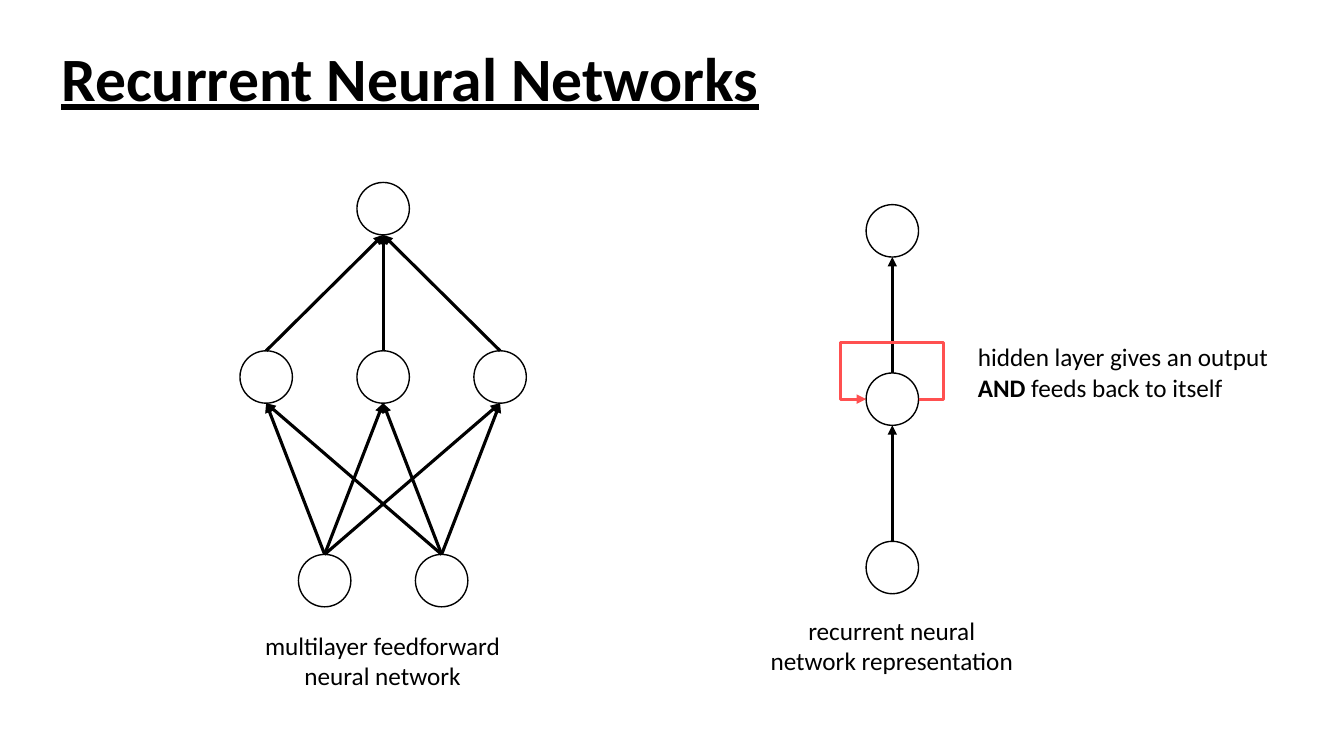
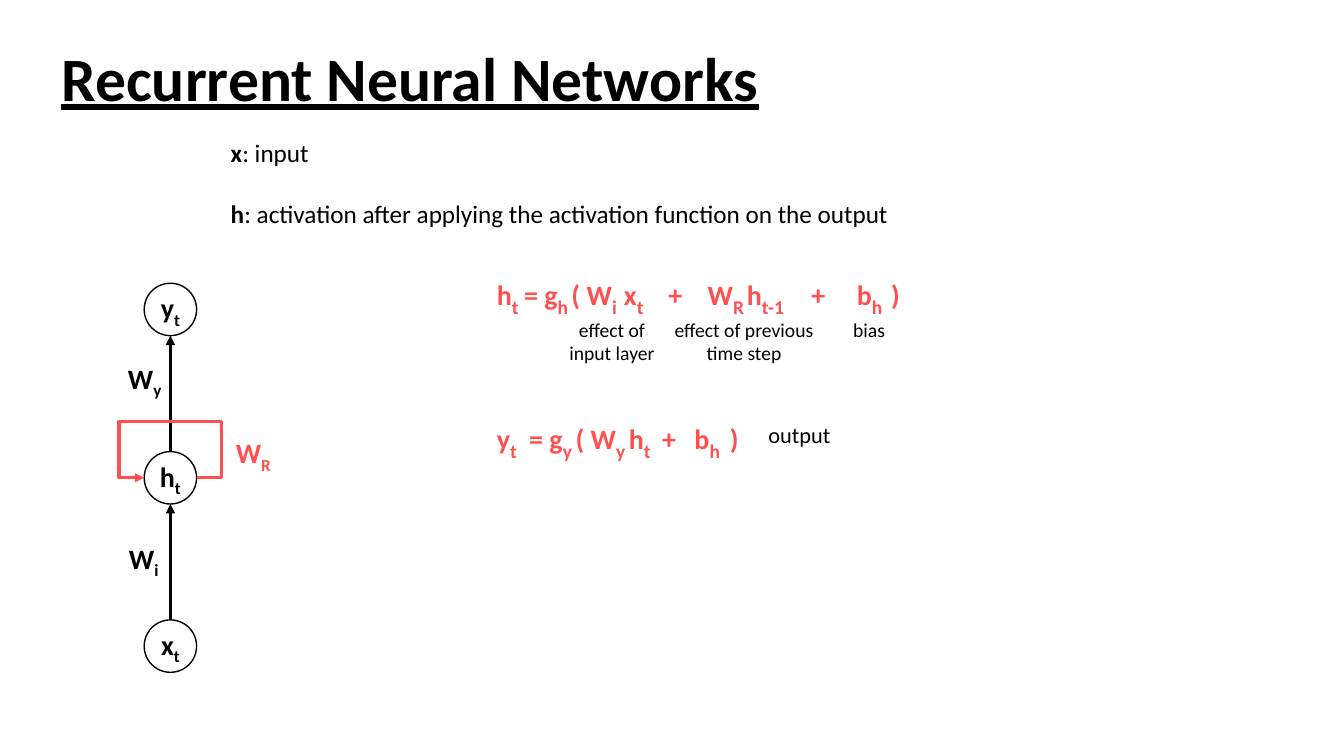
"""Build two slides that introduce recurrent neural networks."""
from lxml.etree import SubElement
from pptx import Presentation
from pptx.dml.color import RGBColor
from pptx.enum.shapes import MSO_CONNECTOR, MSO_SHAPE
from pptx.enum.text import MSO_ANCHOR, MSO_AUTO_SIZE, PP_ALIGN
from pptx.oxml.ns import qn
from pptx.util import Inches, Pt

BLACK = RGBColor(0x00, 0x00, 0x00)
WHITE = RGBColor(0xFF, 0xFF, 0xFF)
RED = RGBColor(0xFF, 0x50, 0x50)
FONT = "Calibri"

TITLE = "Recurrent Neural Networks"
DIAMETER = 0.52
NODE_GAP = 1.16
LAYER_STEP = 1.67
LOOP_REACH = 0.25
LOOP_RISE = 0.56
EQUATION_LEFT = 4.83
INSET = 0.1

FEEDFORWARD = [(1.81, [()]), (3.48, [(), (), ()]), (5.5, [(), ()])]
CAPTIONS = [
    ((2.48, 6.2, 2.63, 0.71), ["multilayer feedforward", "neural network"], PP_ALIGN.CENTER),
    ((7.53, 6.05, 2.63, 0.71), ["recurrent neural", "network representation"], PP_ALIGN.CENTER),
    ((9.6, 3.34, 3.2, 0.71),
     ["hidden layer gives an output", [("AND", "bold"), (" feeds back to itself", "")]],
     PP_ALIGN.LEFT),
]

DEFINITIONS = [
    [("x", "bold"), (": input", "")],
    [("h", "bold"), (": activation after applying the activation function on the output", "")],
]
STATES = [("y", "t"), ("h", "t"), ("x", "t")]
WEIGHTS = [
    ((1.17, 3.52), ("W", "y"), BLACK),
    ((1.18, 5.31), ("W", "i"), BLACK),
    ((2.24, 4.26), ("W", "R"), RED),
]
EQUATIONS = [
    (2.65, [(4.93, "h", "t"), (5.2, "= g", "h"), (5.67, "( W", "i"), (6.19, "x", "t"),
            (6.63, "+", ""), (7.02, "W", "R"), (7.41, "h", "t-1"), (8.05, "+", ""),
            (8.5, "b", "h"), (8.84, ")", "")]),
    (4.08, [(4.93, "y", "t"), (5.25, "= g", "y"), (5.71, "( W", "y"), (6.24, "h", "t"),
            (6.57, "+", ""), (6.89, "b", "h"), (7.24, ")", "")]),
]
TERM_NOTES = [
    ((5.52, 3.1, 1.1, 0.57), ["effect of", "input layer"], 14),
    ((6.48, 3.1, 1.8, 0.57), ["effect of previous", "time step"], 14),
    ((8.27, 3.1, 0.7, 0.34), ["bias"], 14),
    ((7.43, 4.13, 1.0, 0.37), ["output"], 16),
]


def fill_text(frame, lines, size=18, color=BLACK, bold=False, align=PP_ALIGN.LEFT,
              subscript_size=21, gap=0, tabs=()):
    """Write lines, each a string or a list of (text, style) pairs."""
    for index, line in enumerate(lines):
        para = frame.paragraphs[0] if index == 0 else frame.add_paragraph()
        para.alignment = align
        if index and gap:
            para.space_before = Pt(gap)
        if tabs:
            stops = SubElement(para._p.get_or_add_pPr(), qn("a:tabLst"))
            for position in tabs:
                SubElement(stops, qn("a:tab"), pos=str(Inches(position)), algn="l")
        for text, style in [(line, "")] if isinstance(line, str) else line:
            span = para.add_run()
            span.text = text
            span.font.name = FONT
            span.font.size = Pt(subscript_size if style == "sub" else size)
            span.font.bold = bold or style == "bold"
            span.font.color.rgb = color
            if style == "sub":
                span._r.get_or_add_rPr().set("baseline", "-25000")


def add_text(page, at, lines, **style):
    """Add a wrapping text box."""
    box = page.shapes.add_textbox(*map(Inches, at))
    box.text_frame.word_wrap = True
    fill_text(box.text_frame, lines, **style)


def symbol(base, subscript):
    """Return the spans of a symbol with its subscript."""
    return [(base, ""), (subscript, "sub")] if subscript else [(base, "")]


def style_line(shape, color, width=2.25, arrow=False):
    """Colour a line and give it an arrowhead if asked."""
    shape.line.color.rgb = color
    shape.line.width = Pt(width)
    if arrow:
        SubElement(shape._element.spPr.find(qn("a:ln")), qn("a:tailEnd"), type="triangle")


def add_node(page, center, top, label):
    """Add one neuron with an optional symbol inside."""
    node = page.shapes.add_shape(MSO_SHAPE.OVAL, Inches(center - DIAMETER / 2), Inches(top),
                                 Inches(DIAMETER), Inches(DIAMETER))
    node.shadow.inherit = False
    node.fill.solid()
    node.fill.fore_color.rgb = WHITE
    style_line(node, BLACK, width=1)
    if label:
        frame = node.text_frame
        frame.margin_left = frame.margin_right = frame.margin_top = frame.margin_bottom = 0
        frame.vertical_anchor = MSO_ANCHOR.MIDDLE
        frame.word_wrap = False
        fill_text(frame, [symbol(*label)], size=20, bold=True, align=PP_ALIGN.CENTER)
    return node


def add_arrow(page, source, target):
    """Point an arrow from the top of one node to the bottom of another."""
    end_x, end_y = target.left + target.width // 2, target.top + target.height
    arrow = page.shapes.add_connector(MSO_CONNECTOR.STRAIGHT, source.left, source.top, end_x, end_y)
    arrow.begin_connect(source, 0)
    style_line(arrow, BLACK, arrow=True)
    SubElement(arrow._element.spPr, qn("a:effectLst"))


def add_network(page, center, layers):
    """Draw layers from top to bottom, each fully fed by the one below."""
    rows = []
    for top, labels in layers:
        first = center - NODE_GAP * (len(labels) - 1) / 2
        rows.append([add_node(page, first + NODE_GAP * column, top, label)
                     for column, label in enumerate(labels)])
    for targets, sources in zip(rows, rows[1:]):
        for source in sources:
            for target in targets:
                add_arrow(page, source, target)


def add_recurrent(page, center, top, labels):
    """Draw three stacked nodes with a feedback loop on the middle one."""
    layers = [(top + LAYER_STEP * row, [label]) for row, label in enumerate(labels)]
    add_network(page, center, layers)
    middle = layers[1][0] + DIAMETER / 2
    near, far = DIAMETER / 2, DIAMETER / 2 + LOOP_REACH
    corners = [(far, 0), (far, -LOOP_RISE), (-far, -LOOP_RISE), (-far, 0), (-near, 0)]
    outline = page.shapes.build_freeform(Inches(center + near), Inches(middle))
    outline.add_line_segments([(Inches(center + x), Inches(middle + y)) for x, y in corners],
                              close=False)
    loop = outline.convert_to_shape()
    loop.shadow.inherit = False
    loop.fill.background()
    style_line(loop, RED, arrow=True)


def add_page(deck):
    """Add a slide with the shared title style."""
    page = deck.slides.add_slide(deck.slide_layouts[5])
    frame = page.shapes.title.text_frame
    frame.auto_size = MSO_AUTO_SIZE.NONE
    frame.vertical_anchor = MSO_ANCHOR.MIDDLE
    fill_text(frame, [TITLE], size=44, bold=True)
    para = frame.paragraphs[0]
    para.line_spacing = 0.9
    para.runs[0].font.underline = True
    return page


def add_comparison(deck):
    """Compare a feedforward network with a recurrent one."""
    page = add_page(deck)
    add_network(page, 3.8, FEEDFORWARD)
    add_recurrent(page, 8.85, 2.03, [(), (), ()])
    for at, lines, align in CAPTIONS:
        add_text(page, at, lines, align=align)


def add_formulas(deck):
    """Show the recurrent network with its equations."""
    page = add_page(deck)
    add_recurrent(page, 1.69, 2.81, STATES)
    for (left, top), label, color in WEIGHTS:
        add_text(page, (left, top, 0.7, 0.44), [symbol(*label)], size=20, color=color, bold=True)
    add_text(page, (2.19, 1.31, 6.82, 1.01), DEFINITIONS, gap=22)
    for top, terms in EQUATIONS:
        spans = []
        for index, (_, base, subscript) in enumerate(terms):
            spans += symbol("\t" + base if index else base, subscript)
        tabs = [left - EQUATION_LEFT - INSET for left, _, _ in terms[1:]]
        add_text(page, (EQUATION_LEFT, top, 4.4, 0.44), [spans], size=20, color=RED, bold=True,
                 subscript_size=24, tabs=tabs)
    for at, lines, size in TERM_NOTES:
        add_text(page, at, lines, size=size, align=PP_ALIGN.CENTER)


def main():
    """Build and save the deck."""
    deck = Presentation()
    deck.slide_width, deck.slide_height = Inches(13.33), Inches(7.5)
    title = deck.slide_layouts[5].placeholders[0]
    title.left, title.top, title.width, title.height = map(Inches, (0.51, 0.08, 11.5, 1.45))
    add_comparison(deck)
    add_formulas(deck)
    deck.save("out.pptx")


if __name__ == "__main__":
    main()
